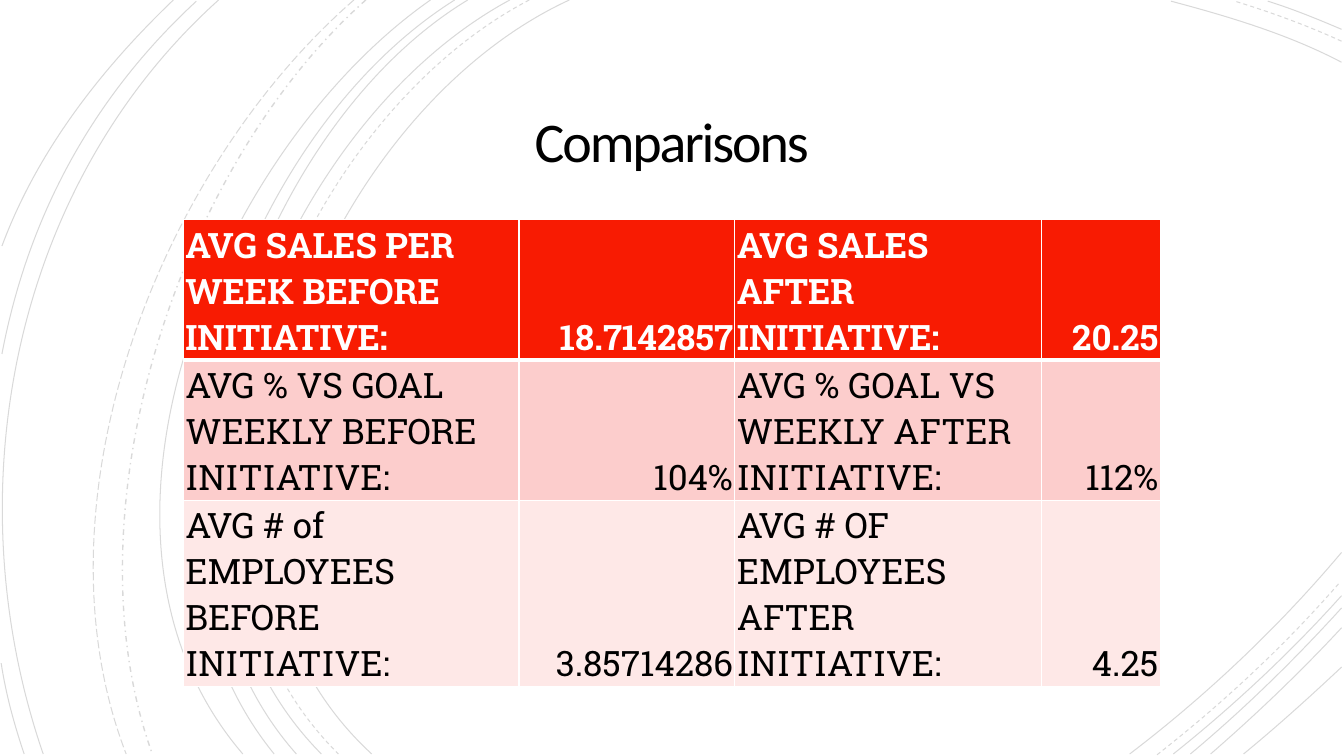
from dataclasses import dataclass

from lxml.etree import SubElement
from pptx import Presentation
from pptx.dml.color import RGBColor
from pptx.enum.dml import MSO_LINE
from pptx.enum.text import MSO_ANCHOR, MSO_AUTO_SIZE, PP_ALIGN
from pptx.oxml.ns import qn
from pptx.util import Cm, Pt


@dataclass(frozen=True)
class Theme:
    title_font: str = "Calibri"
    table_font: str = "Roboto Slab"
    title_size: float = 40
    table_size: float = 25
    ink: str = "000000"
    paper: str = "FFFFFF"
    header: str = "F81B02"
    bands: tuple = ("FCCDCC", "FEE8E7")
    arc_opacity: int = 15


SOLID, DASH = MSO_LINE.SOLID, MSO_LINE.DASH
DASH_DOT, LONG_DASH = MSO_LINE.DASH_DOT, MSO_LINE.LONG_DASH

# Each arc: dash, line width in points, then start, two controls and end in cm
ARCS = [
    (SOLID, 0.75, (14.35, 0), (8, 2.92), (3.63, 13.72), (9.37, 19)),
    (SOLID, 0.75, (33.81, 1.57), (32.46, 0.86), (30.94, 0.41), (29.51, 0.03)),
    (SOLID, 0.75, (28.47, 19), (30.4, 17.53), (32.23, 15.8), (33.81, 13.92)),
    (DASH, 0.75, (13.34, 0), (7.24, 3.18), (3.12, 13.64), (8.53, 19)),
    (DASH, 0.75, (33.81, 1.04), (32.94, 0.64), (32, 0.3), (31.12, 0.03)),
    (DASH, 0.75, (29.16, 19.02), (30.81, 17.73), (32.39, 16.26), (33.78, 14.66)),
    (SOLID, 0.75, (12.85, 0), (6.86, 3.23), (2.79, 13.64), (8.1, 19)),
    (SOLID, 0.75, (33.81, 0.74), (33.2, 0.48), (32.59, 0.23), (31.95, 0.03)),
    (SOLID, 0.75, (29.57, 19), (31.06, 17.81), (32.51, 16.46), (33.81, 15.01)),
    (SOLID, 0.75, (11.79, 0), (6.2, 3.38), (2.79, 13.74), (7.47, 19)),
    (SOLID, 0.75, (30, 19), (31.34, 17.88), (32.61, 16.64), (33.81, 15.32)),
    (SOLID, 0.75, (11.46, 0), (5.87, 3.51), (2.46, 13.54), (6.91, 19)),
    (SOLID, 0.75, (30.51, 19), (31.65, 18.01), (32.77, 16.94), (33.81, 15.82)),
    (SOLID, 0.75, (10.85, 0), (5.51, 3.73), (1.35, 13.44), (6.12, 19)),
    (SOLID, 0.75, (31.34, 19), (32.18, 18.31), (32.99, 17.58), (33.81, 16.81)),
    (DASH_DOT, 1, (9.22, 0), (4.47, 4.22), (1.65, 12.93), (3.84, 19)),
    (LONG_DASH, 0.75, (8.92, 0), (3.99, 4.29), (0.74, 12.67), (3.18, 19)),
    (SOLID, 0.75, (5.51, 0), (0.28, 4.7), (-1.17, 12.45), (1.09, 19)),
    (SOLID, 0.75, (4.95, 0.03), (2.34, 2.44), (0.71, 5.44), (0.05, 8.92)),
    (SOLID, 0.75, (0.03, 16.71), (0.15, 17.5), (0.36, 18.26), (0.61, 19)),
    (SOLID, 0.75, (4.37, 0), (2.54, 1.75), (0.94, 3.81), (0.05, 6.2)),
]

COMPARISONS = [
    ("AVG SALES PER WEEK BEFORE INITIATIVE:", "18.7142857",
     "AVG SALES AFTER INITIATIVE:", "20.25"),
    ("AVG % VS GOAL WEEKLY BEFORE INITIATIVE:", "104%",
     "AVG % GOAL VS WEEKLY AFTER INITIATIVE:", "112%"),
    ("AVG # of EMPLOYEES BEFORE INITIATIVE:", "3.85714286",
     "AVG # OF EMPLOYEES AFTER INITIATIVE:", "4.25"),
]


class SlideBuilder:
    def __init__(self, prs, theme):
        self.theme = theme
        self.s = prs.slides.add_slide(prs.slide_layouts[5])
        fill = self.s.background.fill
        fill.solid()
        fill.fore_color.rgb = RGBColor.from_string(theme.paper)

    def run(self, p, text, font, size, color, bold=False):
        r = p.add_run()
        r.text = text
        r.font.name, r.font.size, r.font.bold = font, Pt(size), bold
        r.font.color.rgb = RGBColor.from_string(color)
        return r

    def arc(self, dash, width, *points):
        start, *rest = [(Cm(x), Cm(y)) for x, y in points]
        builder = self.s.shapes.build_freeform(*start)
        builder.add_line_segments(rest, close=False)
        sp = builder.convert_to_shape()
        path = next(sp.element.iter(qn("a:path")))
        segments = path.findall(qn("a:lnTo"))
        curve = SubElement(path, qn("a:cubicBezTo"))
        for segment in segments:
            curve.append(segment[0])
            path.remove(segment)
        sp.shadow.inherit = False
        sp.fill.background()
        sp.line.width = Pt(width)
        sp.line.dash_style = dash
        sp.line.color.rgb = RGBColor.from_string(self.theme.ink)
        color = next(sp.element.iter(qn("a:ln"))).find(".//" + qn("a:srgbClr"))
        SubElement(color, qn("a:alpha"), val=str(self.theme.arc_opacity * 1000))
        return sp

    def arcs(self, arcs):
        self.s.shapes.add_group_shape([self.arc(*arc) for arc in arcs])

    def title(self, text, left, top, width, height):
        t = self.theme
        sp = self.s.shapes.title
        sp.element.getparent().append(sp.element)  # in front of the arcs
        sp.left, sp.top, sp.width, sp.height = map(Cm, (left, top, width, height))
        tf = sp.text_frame
        tf.word_wrap, tf.auto_size = True, MSO_AUTO_SIZE.NONE
        tf.vertical_anchor = MSO_ANCHOR.MIDDLE
        tf.margin_left = tf.margin_right = tf.margin_top = tf.margin_bottom = Cm(0.64)
        p = tf.paragraphs[0]
        p.alignment, p.line_spacing = PP_ALIGN.CENTER, 0.85
        r = self.run(p, text, t.title_font, t.title_size, t.ink)
        r.font._element.set("spc", "-150")

    def borders(self, cell, **widths):
        tc_pr = cell._tc.get_or_add_tcPr()
        for side in "LRTB":
            ln = SubElement(tc_pr, qn("a:ln" + side), w=str(Pt(widths.get(side, 1))))
            fill = SubElement(ln, qn("a:solidFill"))
            SubElement(fill, qn("a:srgbClr"), val=self.theme.paper)

    def cell(self, cell, text, row, is_value):
        t = self.theme
        header = row == 0
        self.borders(cell, B=3 if header else 1, T=3 if row == 1 else 1)
        cell.fill.solid()
        color = t.header if header else t.bands[(row - 1) % 2]
        cell.fill.fore_color.rgb = RGBColor.from_string(color)
        cell.margin_left = cell.margin_right = cell.margin_top = Cm(0.05)
        cell.margin_bottom = Cm(0)
        cell.vertical_anchor = MSO_ANCHOR.BOTTOM
        p = cell.text_frame.paragraphs[0]
        p.alignment = PP_ALIGN.RIGHT if is_value else PP_ALIGN.LEFT
        self.run(p, text, t.table_font, t.table_size,
                 t.paper if header else t.ink, bold=header)

    def table(self, rows, left, top, widths, heights):
        frame = self.s.shapes.add_table(
            len(rows), len(widths), Cm(left), Cm(top), Cm(sum(widths)), Cm(sum(heights)))
        table = frame.table
        for column, width in zip(table.columns, widths):
            column.width = Cm(width)
        for i, (texts, height) in enumerate(zip(rows, heights)):
            table.rows[i].height = Cm(height)
            for j, text in enumerate(texts):
                self.cell(table.cell(i, j), text, i, is_value=j % 2 == 1)


def main():
    prs = Presentation()
    prs.slide_width, prs.slide_height = Cm(33.87), Cm(19.05)
    slide = SlideBuilder(prs, Theme())
    slide.arcs(ARCS)
    slide.title("Comparisons", 4.88, 2.21, 24.1, 2.92)
    slide.table(COMPARISONS, 4.62, 5.54, (8.46, 5.44, 7.72, 3), (3.51, 3.51, 4.6))
    prs.save("out.pptx")


if __name__ == "__main__":
    main()
